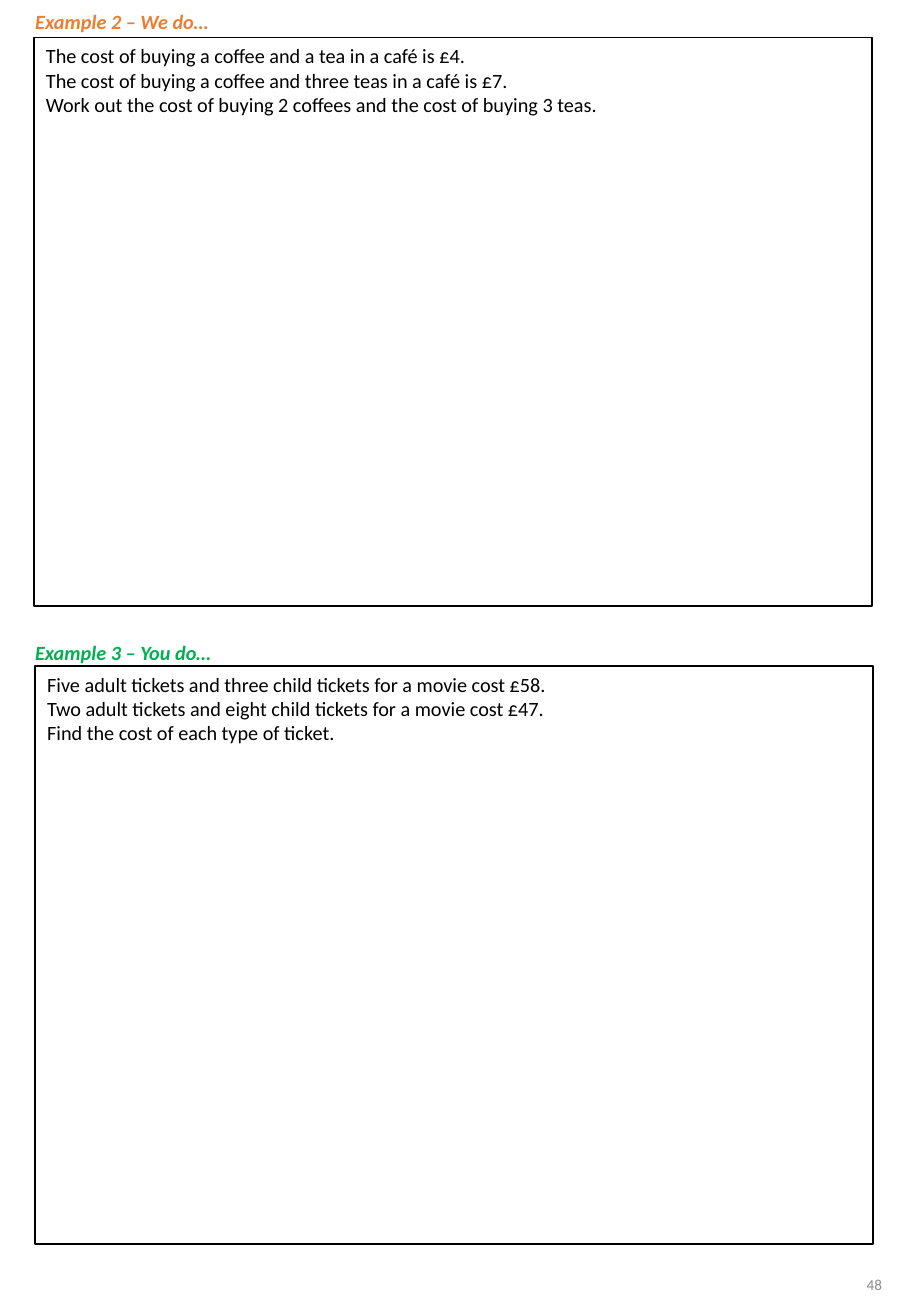
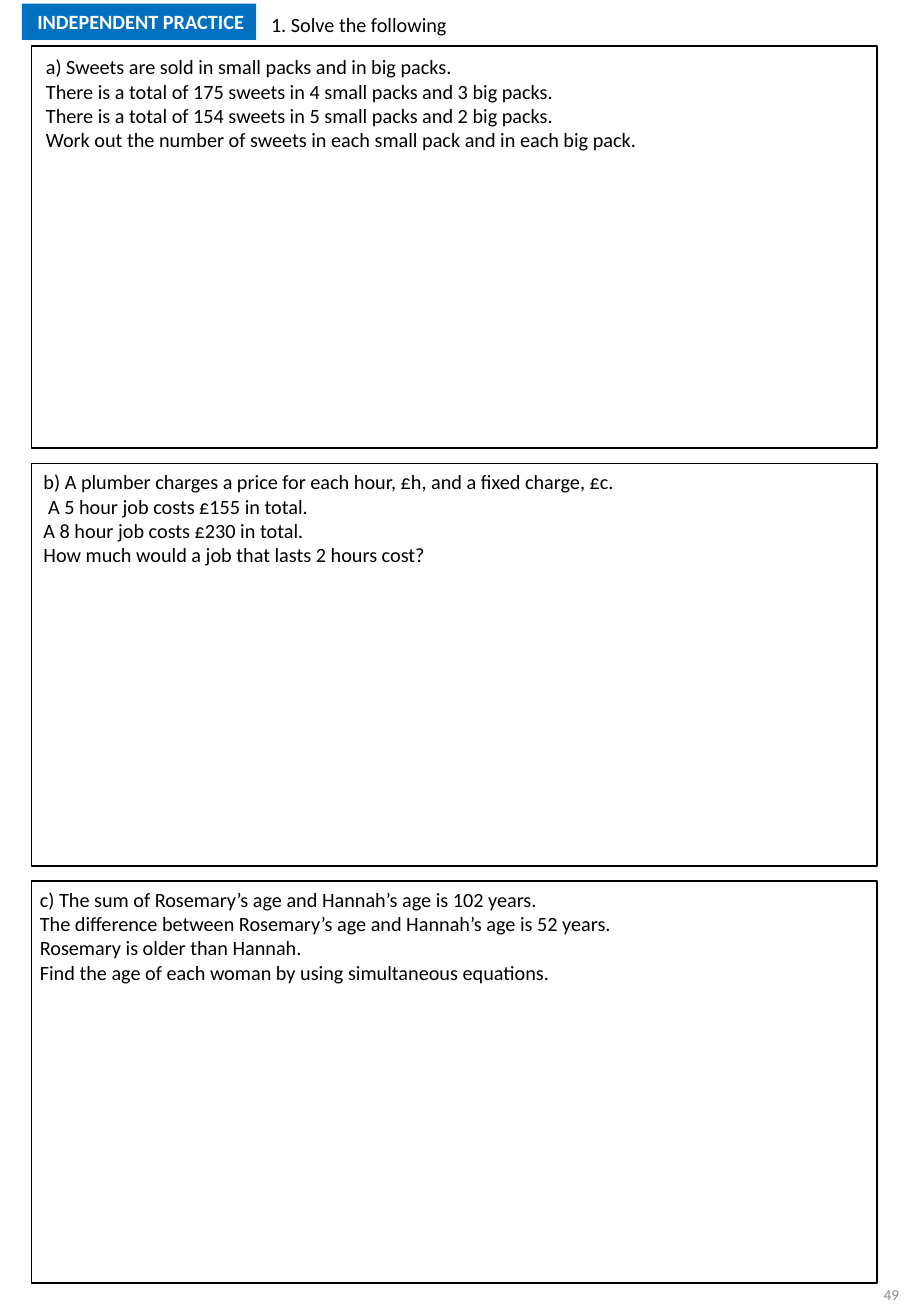
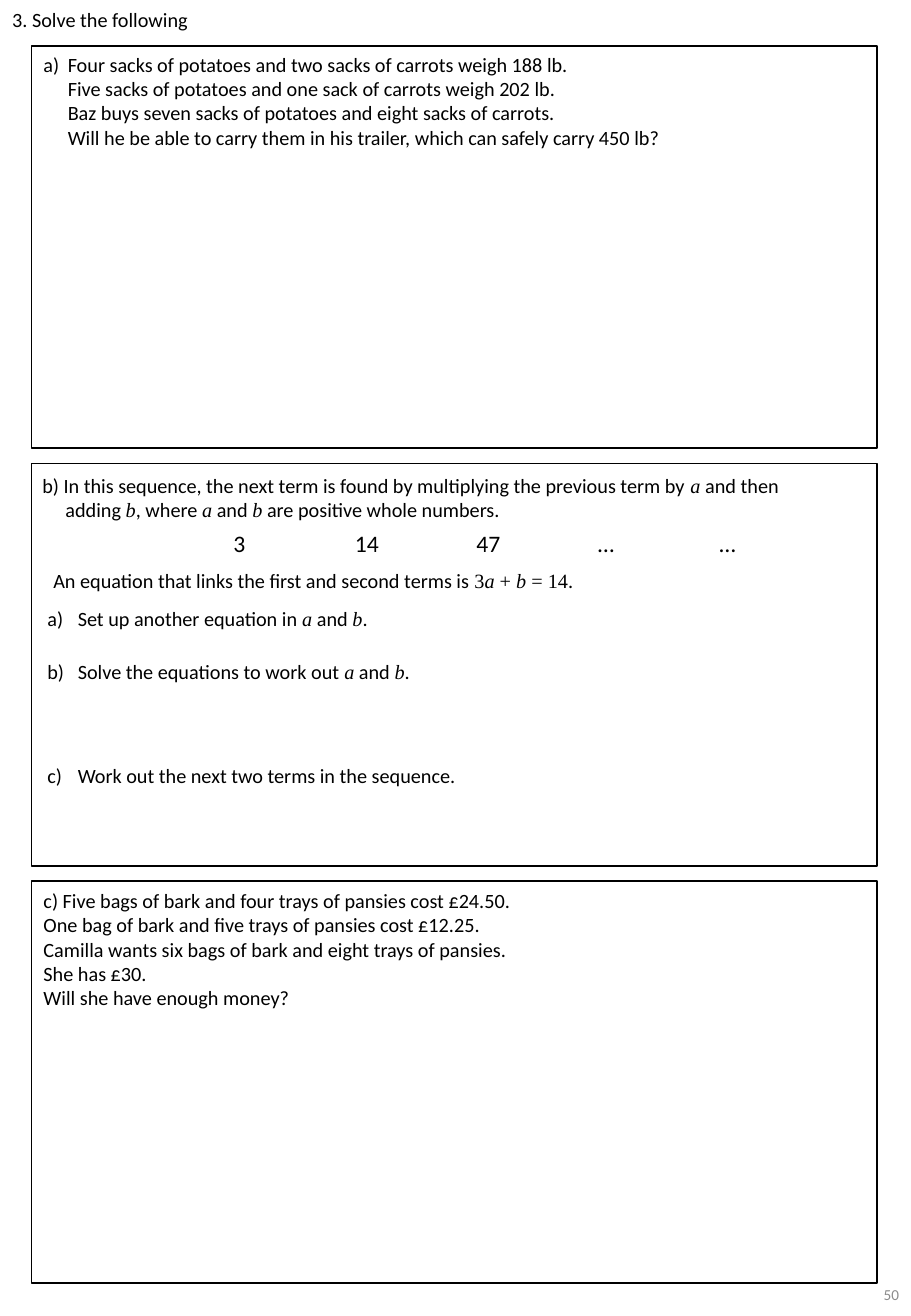
import dataclasses

import pptx
import pptx.dml.color
import pptx.enum.shapes
import pptx.enum.text
import pptx.oxml
import pptx.oxml.ns
import pptx.util

ALIGN = pptx.enum.text.PP_ALIGN
ANCHOR = pptx.enum.text.MSO_ANCHOR
RECT = pptx.enum.shapes.MSO_SHAPE.RECTANGLE
WIDTH, HEIGHT = pptx.util.Inches(7.5), pptx.util.Inches(10.83)
COLUMNS, ROWS = 75, 108.3
TITLE_ONLY, TITLE_AND_BODY = 5, 1


@dataclasses.dataclass(frozen=True)
class Theme:
    """Colours, fonts and type sizes of the booklet."""
    ink: str = "000000"
    paper: str = "FFFFFF"
    badge: str = "0070C0"
    we_do: str = "ED7D31"
    you_do: str = "00B050"
    page: str = "8C8C8C"
    font: str = "Calibri"
    math: str = "Times New Roman"
    text: int = 12
    terms: int = 14
    small: int = 9
    line: int = 1


@dataclasses.dataclass(frozen=True)
class Box:
    """A rectangle in columns and rows of the page grid."""
    x: float
    y: float
    w: float
    h: float

    def inner(self, dx, dy, w, h):
        """Return a box offset from this one's top left corner."""
        return Box(self.x + dx, self.y + dy, w, h)

    def emu(self):
        """Return left, top, width and height in EMU."""
        col, row = WIDTH / COLUMNS, HEIGHT / ROWS
        return [round(v) for v in (self.x * col, self.y * row, self.w * col, self.h * row)]


T = Theme()
STACK = Box(2.6, 3.8, 69.6, 101.8)
PAGE_BOX = Box(58.1, 103.6, 16.9, 5.8)


def rgb(value):
    """Turn a hex string into a colour."""
    return pptx.dml.color.RGBColor.from_string(value)


def stack(box, n, gap):
    """Split a box into n equal rows."""
    h = (box.h - gap * (n - 1)) / n
    return [Box(box.x, box.y + i * (h + gap), box.w, h) for i in range(n)]


def add_ppr(p, tag, **attrs):
    """Append an element to the paragraph properties."""
    el = pptx.oxml.parse_xml(f"<a:{tag} {pptx.oxml.ns.nsdecls('a')}/>")
    for name, value in attrs.items():
        el.set(name, str(value))
    p._p.get_or_add_pPr().append(el)
    return el


def indent(p, left, first=0):
    """Set left and first-line indents in inches."""
    ppr = p._p.get_or_add_pPr()
    ppr.set("marL", str(pptx.util.Inches(left)))
    ppr.set("indent", str(pptx.util.Inches(first)))


def add_tabs(p, stops):
    """Set left tab stops in inches."""
    tabs = add_ppr(p, "tabLst")
    for stop in stops:
        tab = pptx.oxml.parse_xml(f"<a:tab {pptx.oxml.ns.nsdecls('a')}/>")
        tab.set("pos", str(pptx.util.Inches(stop)))
        tab.set("algn", "l")
        tabs.append(tab)


def add_runs(p, text):
    """Write text, with *variables* in italic and ~numbers~ upright in the maths font."""
    for i, part in enumerate(text.split("*")):
        for j, piece in enumerate(part.split("~")):
            if piece:
                r = p.add_run()
                r.text = piece
                if i % 2 or j % 2:
                    r.font.name = T.math
                    r.font.italic = bool(i % 2)


def style(p, size=T.text, color=T.ink, bold=False, italic=False, align=ALIGN.LEFT):
    """Format a whole paragraph."""
    p.alignment = align
    f = p.font
    f.name, f.size, f.bold, f.italic = T.font, pptx.util.Pt(size), bold, italic
    f.color.rgb = rgb(color)


def write(sp, lines, anchor=ANCHOR.TOP, **fmt):
    """Fill a shape with one paragraph a line and return the paragraphs."""
    tf = sp.text_frame
    tf.word_wrap = True
    tf.auto_size = pptx.enum.text.MSO_AUTO_SIZE.NONE
    tf.vertical_anchor = anchor
    for i, line in enumerate(lines):
        p = tf.paragraphs[0] if i == 0 else tf.add_paragraph()
        add_runs(p, line)
        style(p, **fmt)
    return tf.paragraphs


def text(s, box, lines, **fmt):
    """Add a text box and return its paragraphs."""
    return write(s.shapes.add_textbox(*box.emu()), lines, **fmt)


def title(s, box, line, **fmt):
    """Move and fill the title placeholder."""
    sp = s.shapes.title
    sp.left, sp.top, sp.width, sp.height = box.emu()
    write(sp, [line], **fmt)


def panel(s, box, fill=None, line=T.ink):
    """Add a plain rectangle."""
    sp = s.shapes.add_shape(RECT, *box.emu())
    sp.shadow.inherit = False
    if fill:
        sp.fill.solid()
        sp.fill.fore_color.rgb = rgb(fill)
    else:
        sp.fill.background()
    if line:
        sp.line.color.rgb = rgb(line)
        sp.line.width = pptx.util.Pt(T.line)
    else:
        sp.line.fill.background()
    return sp


def page_number(s, number, box=PAGE_BOX):
    """Put the page number at the bottom right."""
    text(s, box, [str(number)], anchor=ANCHOR.MIDDLE, size=T.small, color=T.page, align=ALIGN.RIGHT)


def new_slide(prs, layout):
    """Add a slide from a layout."""
    return prs.slides.add_slide(prs.slide_layouts[layout])


def examples_slide(prs):
    """Two worked examples with space for working."""
    s = new_slide(prs, TITLE_ONLY)
    page_number(s, 48, Box(56.7, 102.8, 16.9, 5.8))
    label = dict(bold=True, italic=True)
    title(s, Box(1.9, 0.3, 18, 3), "Example 2 – We do…", color=T.we_do, **label)
    write(panel(s, Box(2.8, 3.1, 69, 46.8)), [
        "The cost of buying a coffee and a tea in a café is £4.",
        "The cost of buying a coffee and three teas in a café is £7.",
        "Work out the cost of buying 2 coffees and the cost of buying 3 teas."])
    text(s, Box(1.9, 52.2, 18, 3), ["Example 3 – You do…"], color=T.you_do, **label)
    write(panel(s, Box(2.9, 54.8, 69, 47.6)), [
        "Five adult tickets and three child tickets for a movie cost £58.",
        "Two adult tickets and eight child tickets for a movie cost £47.",
        "Find the cost of each type of ticket."])


def practice_slide(prs):
    """Three independent practice questions."""
    s = new_slide(prs, TITLE_ONLY)
    page_number(s, 49)
    title(s, Box(4.3, 0.5, 50.5, 3), "1. Solve the following", align=ALIGN.CENTER)
    badge = panel(s, Box(1.8, 0.3, 19.3, 3), fill=T.badge, line=None)
    write(badge, ["INDEPENDENT PRACTICE"], anchor=ANCHOR.MIDDLE, color=T.paper, bold=True, align=ALIGN.RIGHT)
    badge.text_frame.word_wrap = False
    questions = [
        (0.2, 0.2, ["a) Sweets are sold in small packs and in big packs.",
                    "There is a total of 175 sweets in 4 small packs and 3 big packs.",
                    "There is a total of 154 sweets in 5 small packs and 2 big packs.",
                    "Work out the number of sweets in each small pack and in each big pack."]),
        (0, 0, ["b) A plumber charges a price for each hour, £h, and a fixed charge, £c.",
                " A 5 hour job costs £155 in total.",
                "A 8 hour job costs £230 in total.",
                "How much would a job that lasts 2 hours cost?"]),
        (-0.3, 0, ["c) The sum of Rosemary’s age and Hannah’s age is 102 years.",
                   "The difference between Rosemary’s age and Hannah’s age is 52 years.",
                   "Rosemary is older than Hannah.",
                   "Find the age of each woman by using simultaneous equations."])]
    for box, (dx, dy, lines) in zip(stack(STACK, 3, 1.25), questions):
        panel(s, box)
        text(s, box.inner(dx, dy, box.w, 9.1), lines)


def sacks_question(s, box):
    """Question with its lines aligned after the letter."""
    first, *others = text(s, box.inner(0, 0, box.w, 9.1), [
        "a)\tFour sacks of potatoes and two sacks of carrots weigh 188 lb.",
        "Five sacks of potatoes and one sack of carrots weigh 202 lb.",
        "Baz buys seven sacks of potatoes and eight sacks of carrots.",
        "Will he be able to carry them in his trailer, which can safely carry 450 lb?"])
    indent(first, 0.2, -0.2)
    for p in others:
        indent(p, 0.2)


def sequence_question(s, box):
    """Question on a sequence, with lettered parts in the body placeholder."""
    intro = text(s, box.inner(-0.1, 0.3, 66.6, 5), [
        "b) In this sequence, the next term is found by multiplying the previous term by *a* and then "
        "adding *b*, where *a* and *b* are positive whole numbers."])
    indent(intro[0], 0.19, -0.19)
    sp = s.shapes.add_textbox(*box.inner(9, 4.9, 56.6, 3.4).emu())
    add_tabs(sp.text_frame.paragraphs[0], range(1, 5))
    write(sp, ["3\t14\t47\t…\t…"], size=T.terms, align=ALIGN.CENTER)
    text(s, box.inner(0.8, 8.1, 47.1, 3), [
        "An equation that links the first and second terms is ~3~*a*~ + ~*b*~ = 14~."])
    body = s.placeholders[1]
    body.left, body.top, body.width, body.height = box.inner(0.3, 11.25, 47.1, 16).emu()
    parts = write(body, ["Set up another equation in *a* and *b*.",
                         "Solve the equations to work out *a* and *b*.",
                         "Work out the next two terms in the sequence."])
    for p, gap in zip(parts, (0, 17, 47)):
        indent(p, 0.25, -0.25)
        ppr = p._p.get_or_add_pPr()
        font = ppr.find(pptx.oxml.ns.qn("a:defRPr"))
        for el in (add_ppr(p, "buFont", typeface=T.font), add_ppr(p, "buAutoNum", type="alphaLcParenR")):
            font.addprevious(el)
        p.space_before = pptx.util.Pt(gap)


def garden_question(s, box):
    """Question on the cost of bark and pansies."""
    text(s, box.inner(0, 0.1, box.w, 11.1), [
        "c) Five bags of bark and four trays of pansies cost £24.50.",
        "One bag of bark and five trays of pansies cost £12.25.",
        "Camilla wants six bags of bark and eight trays of pansies.",
        "She has £30.",
        "Will she have enough money?"])


def problems_slide(prs):
    """Three longer problems."""
    s = new_slide(prs, TITLE_AND_BODY)
    page_number(s, 50)
    title(s, Box(0, 0.1, 50.5, 3), "3. Solve the following")
    for box, question in zip(stack(STACK, 3, 1.25), (sacks_question, sequence_question, garden_question)):
        panel(s, box)
        question(s, box)


def main():
    """Build and save the booklet pages."""
    prs = pptx.Presentation()
    prs.slide_width, prs.slide_height = WIDTH, HEIGHT
    for build in (examples_slide, practice_slide, problems_slide):
        build(prs)
    prs.save("out.pptx")


if __name__ == "__main__":
    main()
